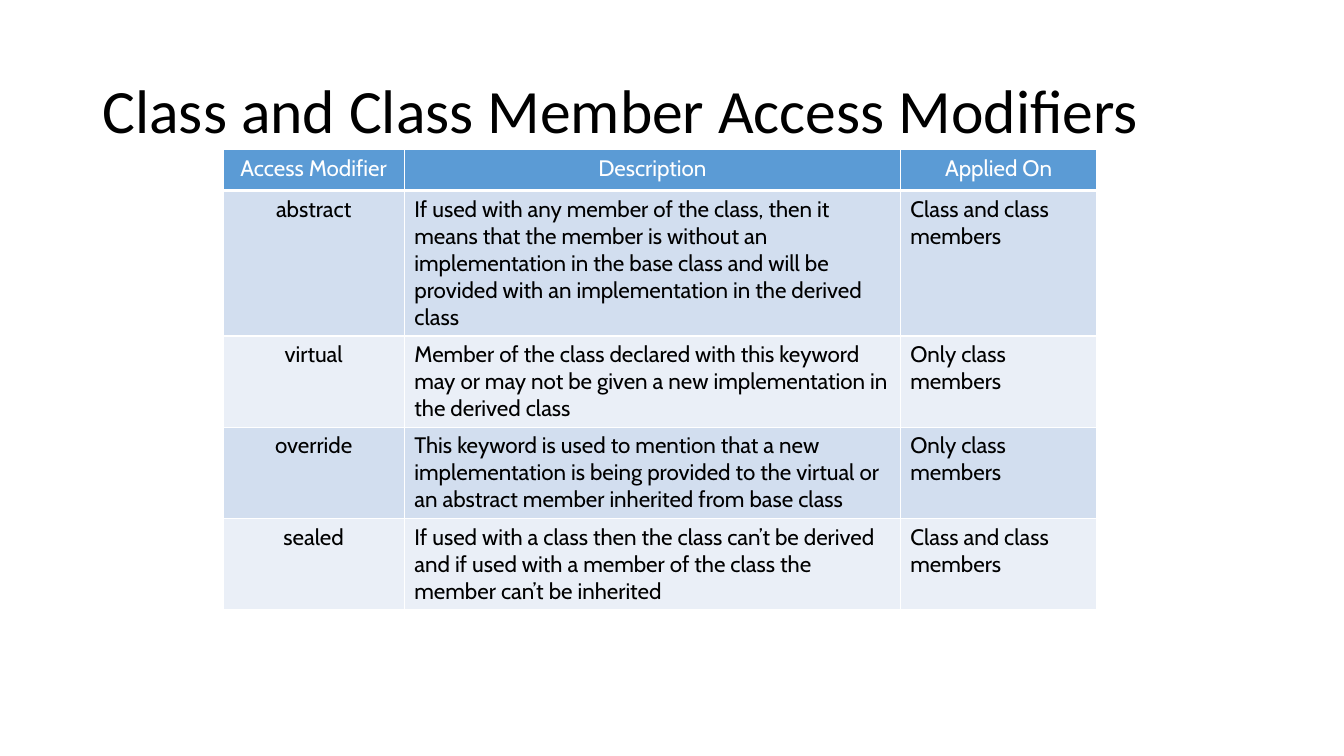
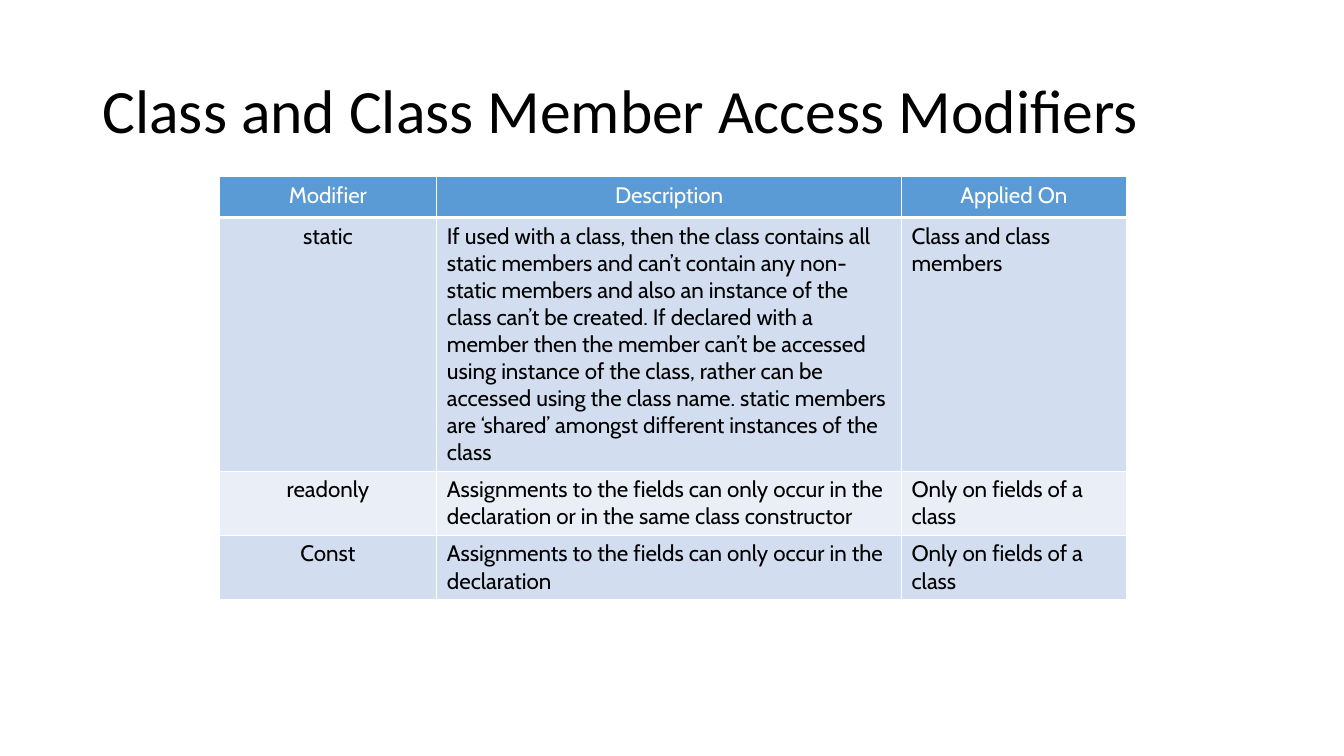
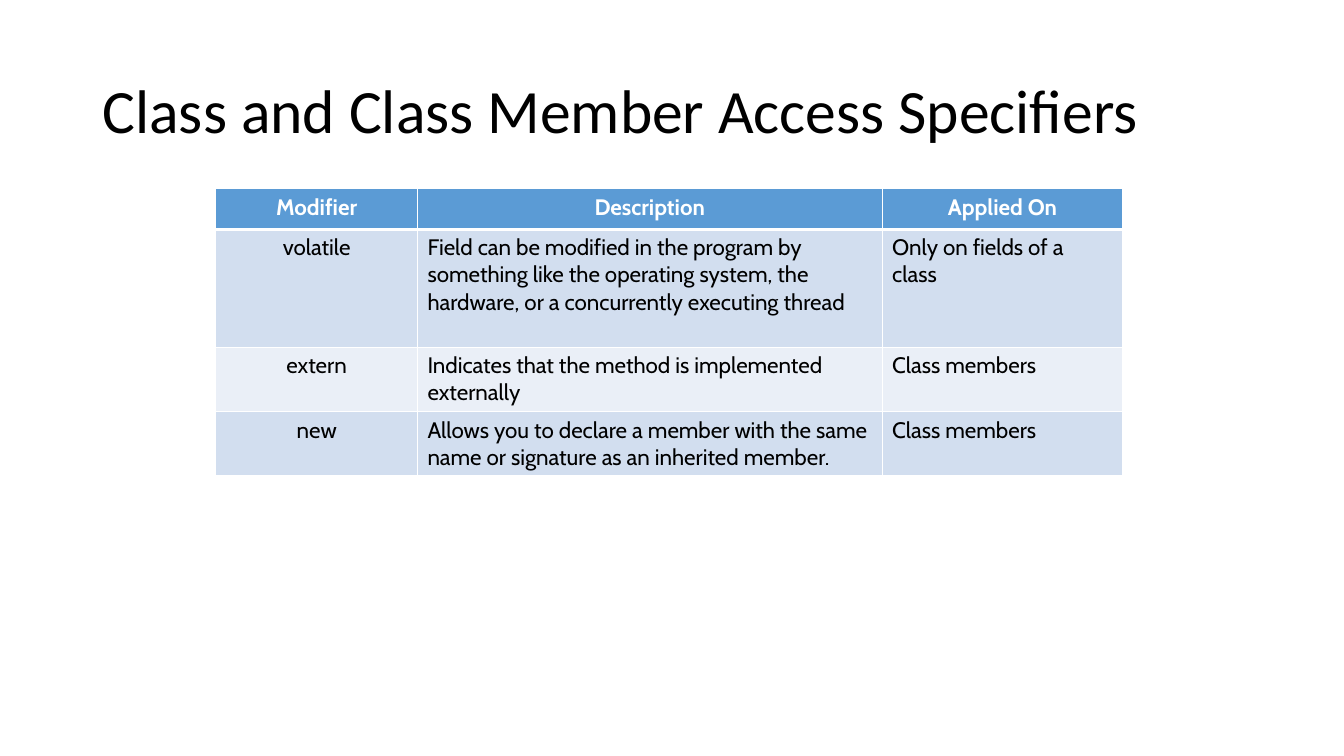
from dataclasses import dataclass

from lxml.etree import SubElement
from pptx import Presentation
from pptx.dml.color import RGBColor as Rgb
from pptx.enum.text import MSO_ANCHOR as Anchor, MSO_AUTO_SIZE as Fit, PP_ALIGN as Align
from pptx.oxml.ns import qn
from pptx.util import Cm, Pt


@dataclass(frozen=True)
class Theme:
    """Colours, fonts, sizes and lengths (cm) shared by the slides."""
    white: str = "FFFFFF"
    black: str = "000000"
    head: str = "5B9BD5"
    bands: tuple = ("D2DEEF", "EAEFF7")
    title_font: str = "Calibri"
    title_size: int = 44
    cell_font: str = "Cabin"
    cell_size: int = 16
    title_box: tuple = (2.33, 1.02, 29.21, 3.68)
    head_high: float = 1.03
    line_high: float = 0.68
    pad: float = 0.25
    rule: int = 1
    head_rule: int = 3


T = Theme()

SLIDES = [
    dict(
        title="Class and Class Member Access Modifiers",
        spot=(5.62, 3.77),
        widths=(4.57, 12.5, 4.95),
        lines=(5, 3, 3, 3),
        rows=[
            ("Access Modifier", "Description", "Applied On"),
            ("abstract",
             "If used with any member of the class, then it means that the member is "
             "without an implementation in the base class and will be provided with an "
             "implementation in the derived class",
             "Class and class members"),
            ("virtual",
             "Member of the class declared with this keyword may or may not be given a "
             "new implementation in the derived class",
             "Only class members"),
            ("override",
             "This keyword is used to mention that a new implementation is being provided "
             "to the virtual or an abstract member inherited from base class",
             "Only class members"),
            ("sealed",
             "If used with a class then the class can’t be derived and if used with a "
             "member of the class the member can’t be inherited",
             "Class and class members"),
        ],
    ),
    dict(
        title="Class and Class Member Access Modifiers",
        spot=(5.52, 4.45),
        widths=(5.49, 11.71, 5.66),
        lines=(9, 2, 2),
        rows=[
            ("Modifier", "Description", "Applied On"),
            ("static",
             "If used with a class, then the class contains all static members and can’t "
             "contain any non-static members and also an instance of the class can’t be "
             "created. If declared with a member then the member can’t be accessed using "
             "instance of the class, rather can be accessed using the class name. static "
             "members are ‘shared’ amongst different instances of the class",
             "Class and class members"),
            ("readonly",
             "Assignments to the fields can only occur in the declaration or in the same "
             "class constructor",
             "Only on fields of a class"),
            ("Const",
             "Assignments to the fields can only occur in the declaration",
             "Only on fields of a class"),
        ],
    ),
    dict(
        title="Class and Class Member Access Specifiers",
        spot=(5.44, 4.75),
        widths=(5.08, 11.71, 6.07),
        lines=(4, 2, 2),
        bold=True,
        rows=[
            ("Modifier", "Description", "Applied On"),
            ("volatile",
             "Field can be modified in the program by something like the operating system, "
             "the hardware, or a concurrently executing thread",
             "Only on fields of a class"),
            ("extern",
             "Indicates that the method is implemented externally",
             "Class members"),
            ("new",
             "Allows you to declare a member with the same name or signature as an "
             "inherited member.",
             "Class members"),
        ],
    ),
]


def add_run(para, text, face, size, color, bold=False):
    """Add one formatted run to a paragraph."""
    run = para.add_run()
    run.text = text
    font = run.font
    font.name, font.size, font.bold = face, Pt(size), bold
    font.color.rgb = Rgb.from_string(color)


def add_title(slide, text, box):
    """Place and format the title placeholder."""
    shape = slide.shapes.title
    shape.left, shape.top, shape.width, shape.height = map(Cm, box)
    frame = shape.text_frame
    frame.word_wrap, frame.auto_size = True, Fit.NONE
    frame.vertical_anchor = Anchor.MIDDLE
    para = frame.paragraphs[0]
    para.alignment, para.line_spacing = Align.LEFT, 0.9
    add_run(para, text, T.title_font, T.title_size, T.black)


def add_rules(cell, base):
    """Draw the four cell borders, with the bottom one of its own width."""
    props = cell._tc.get_or_add_tcPr()
    for side in "LRTB":
        wide = base if side == "B" else T.rule
        line = SubElement(props, qn(f"a:ln{side}"), w=str(Pt(wide)))
        fill = SubElement(line, qn("a:solidFill"))
        SubElement(fill, qn("a:srgbClr"), val=T.white)


def fill_cell(cell, text, row, col, bold):
    """Style one cell by its row and column and write its text."""
    head = row == 0
    add_rules(cell, T.head_rule if head else T.rule)
    cell.fill.solid()
    cell.fill.fore_color.rgb = Rgb.from_string(T.head if head else T.bands[(row - 1) % 2])
    para = cell.text_frame.paragraphs[0]
    para.alignment = Align.CENTER if head or col == 0 else Align.LEFT
    add_run(para, text, T.cell_font, T.cell_size, T.white if head else T.black, head and bold)


def add_grid(slide, spot, widths, lines, rows, bold=False):
    """Place the modifier table with row heights set by line counts."""
    highs = [T.head_high] + [T.pad + T.line_high * n for n in lines]
    box = (*spot, sum(widths), sum(highs))
    table = slide.shapes.add_table(len(rows), len(widths), *map(Cm, box)).table
    for col, wide in zip(table.columns, widths):
        col.width = Cm(wide)
    for row, high in zip(table.rows, highs):
        row.height = Cm(high)
    for r, texts in enumerate(rows):
        for c, text in enumerate(texts):
            fill_cell(table.cell(r, c), text, r, c, bold)


def add_page(deck, title, **grid):
    """Build one slide with a title and a table."""
    slide = deck.slides.add_slide(deck.slide_layouts.get_by_name("Title Only"))
    add_title(slide, title, T.title_box)
    add_grid(slide, **grid)


def main():
    """Build and save the deck."""
    deck = Presentation()
    deck.slide_width, deck.slide_height = Cm(33.87), Cm(19.05)
    for page in SLIDES:
        add_page(deck, **page)
    deck.save("out.pptx")


if __name__ == "__main__":
    main()
